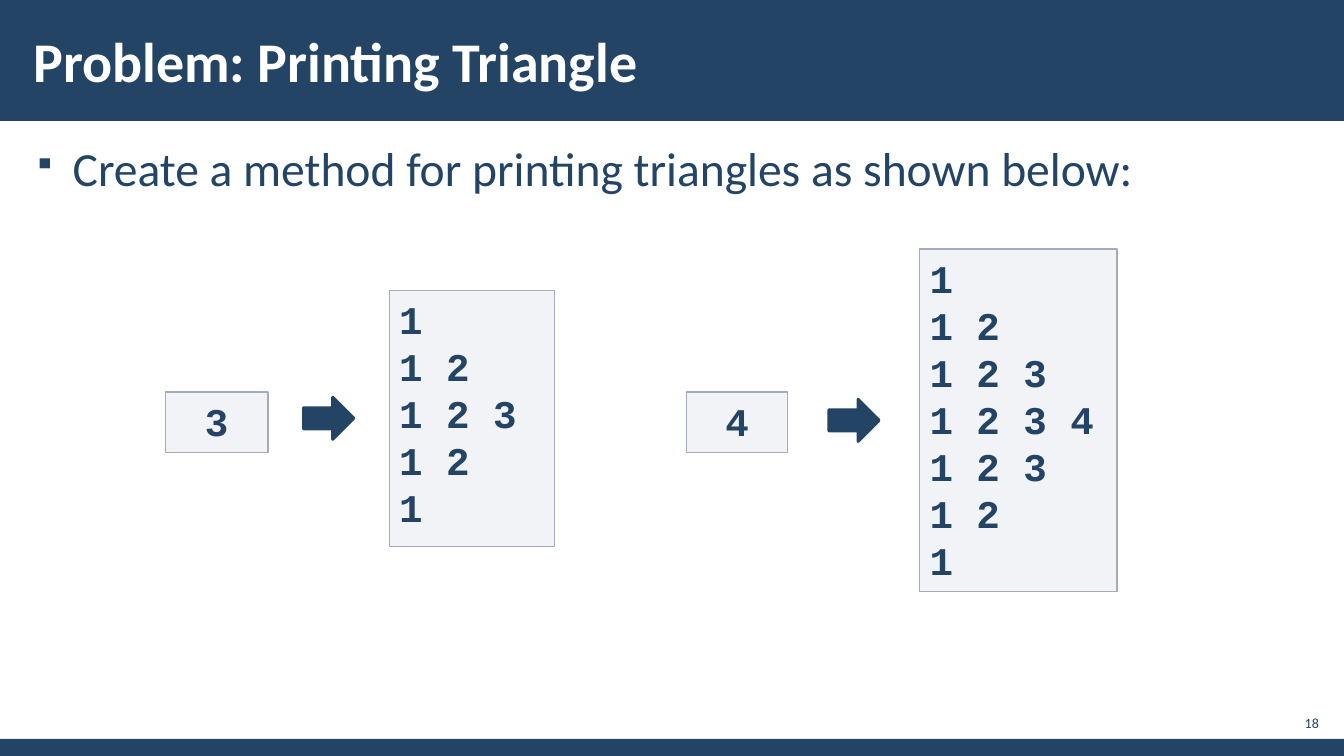
from dataclasses import dataclass

from lxml.etree import SubElement
from pptx import Presentation
from pptx.dml.color import RGBColor
from pptx.enum.shapes import MSO_SHAPE as Preset
from pptx.enum.text import MSO_ANCHOR as Anchor, PP_ALIGN as Align
from pptx.oxml.ns import qn
from pptx.shapes.autoshape import Shape
from pptx.slide import Slide
from pptx.text.text import TextFrame, _Paragraph as Paragraph
from pptx.util import Emu, Inches, Pt

SLIDE_WIDTH = Inches(13.33)
SLIDE_HEIGHT = Inches(7.5)
NAVY = RGBColor(0x23, 0x44, 0x65)
WHITE = RGBColor(0xFF, 0xFF, 0xFF)
BOX_FILL = RGBColor(0xC2, 0xC7, 0xD2)
BOX_LINE = RGBColor(0xA3, 0xAB, 0xBC)
BOX_OPACITY = 20
BULLET_SIZE = 65
TEXT_FONT = "Calibri"
CODE_FONT = "Courier New"


@dataclass(frozen=True)
class Area:
    """Left, top, width and height in percent of the slide."""

    left: float
    top: float
    width: float
    height: float

    def lengths(self) -> tuple[Emu, Emu, Emu, Emu]:
        return (
            Emu(int(SLIDE_WIDTH * self.left / 100)),
            Emu(int(SLIDE_HEIGHT * self.top / 100)),
            Emu(int(SLIDE_WIDTH * self.width / 100)),
            Emu(int(SLIDE_HEIGHT * self.height / 100)),
        )


@dataclass(frozen=True)
class TextStyle:
    font: str
    size: int
    color: RGBColor
    bold: bool = False


@dataclass(frozen=True)
class Example:
    size: int
    input_area: Area
    arrow_area: Area
    output_area: Area


TITLE = TextStyle(TEXT_FONT, 40, WHITE, True)
BODY = TextStyle(TEXT_FONT, 34, NAVY)
NUMBER = TextStyle(TEXT_FONT, 10, NAVY)
CODE = TextStyle(CODE_FONT, 28, NAVY, True)

BARS = (Area(0, 0, 100, 16), Area(0, 97.73, 100, 2.27))
EXAMPLES = (
    Example(3, Area(12.3, 51.87, 7.65, 8), Area(22.58, 52.53, 3.75, 5.6),
            Area(28.96, 38.4, 12.3, 33.87)),
    Example(4, Area(51.09, 51.87, 7.5, 8), Area(61.67, 52.8, 3.75, 5.6),
            Area(68.42, 32.93, 14.7, 45.33)),
)


def triangle_rows(size: int) -> list[str]:
    lengths = [*range(1, size + 1), *range(size - 1, 0, -1)]
    return [" ".join(str(n) for n in range(1, length + 1)) for length in lengths]


def add_run(paragraph: Paragraph, text: str, style: TextStyle) -> None:
    run = paragraph.add_run()
    run.text = text
    run.font.name = style.font
    run.font.size = Pt(style.size)
    run.font.bold = style.bold
    run.font.color.rgb = style.color


def write_lines(frame: TextFrame, lines: list[str], style: TextStyle, align: Align) -> None:
    for index, line in enumerate(lines):
        paragraph = frame.add_paragraph() if index else frame.paragraphs[0]
        paragraph.alignment = align
        add_run(paragraph, line, style)


def add_filled(slide: Slide, preset: Preset, area: Area, color: RGBColor) -> Shape:
    shape = slide.shapes.add_shape(preset, *area.lengths())
    shape.shadow.inherit = False
    shape.fill.solid()
    shape.fill.fore_color.rgb = color
    shape.line.fill.background()
    return shape


def set_line(shape: Shape, color: RGBColor, width: float) -> None:
    shape.line.color.rgb = color
    shape.line.width = Pt(width)


def add_code_box(slide: Slide, area: Area, lines: list[str], align: Align) -> None:
    box = add_filled(slide, Preset.RECTANGLE, area, BOX_FILL)
    color = box.fill._xPr.find(qn("a:solidFill"))[0]
    SubElement(color, qn("a:alpha")).set("val", str(BOX_OPACITY * 1000))
    set_line(box, BOX_LINE, 1)
    box.text_frame.vertical_anchor = Anchor.TOP
    write_lines(box.text_frame, lines, CODE, align)


def add_text(slide: Slide, area: Area, text: str, style: TextStyle, anchor: Anchor,
             side_margin: float, align: Align = Align.LEFT) -> Paragraph:
    frame = slide.shapes.add_textbox(*area.lengths()).text_frame
    frame.word_wrap = True
    frame.vertical_anchor = anchor
    frame.margin_left = frame.margin_right = Inches(side_margin)
    frame.margin_top = frame.margin_bottom = Inches(0.04)
    write_lines(frame, [text], style, align)
    return frame.paragraphs[0]


def add_bullet(paragraph: Paragraph) -> None:
    paragraph.line_spacing = 1.05
    paragraph.space_before = paragraph.space_after = Pt(6)
    properties = paragraph._p.get_or_add_pPr()
    properties.set("marL", str(Inches(0.39)))
    properties.set("indent", str(-Inches(0.39)))
    SubElement(properties, qn("a:buSzPct")).set("val", str(BULLET_SIZE * 1000))
    SubElement(properties, qn("a:buChar")).set("char", "▪")


def add_example(slide: Slide, example: Example) -> None:
    add_code_box(slide, example.input_area, [str(example.size)], Align.CENTER)
    arrow = add_filled(slide, Preset.RIGHT_ARROW, example.arrow_area, NAVY)
    set_line(arrow, NAVY, 2)
    add_code_box(slide, example.output_area, triangle_rows(example.size), Align.LEFT)


def main() -> None:
    presentation = Presentation()
    presentation.slide_width = SLIDE_WIDTH
    presentation.slide_height = SLIDE_HEIGHT
    slide = presentation.slides.add_slide(presentation.slide_layouts[6])
    for bar in BARS:
        add_filled(slide, Preset.RECTANGLE, bar, NAVY)
    add_text(slide, Area(1.58, 1.47, 77.94, 12.93), "Problem: Printing Triangle",
             TITLE, Anchor.MIDDLE, 0.12)
    task = add_text(slide, Area(1.58, 17.47, 96.92, 75.87),
                    "Create a method for printing triangles as shown below:",
                    BODY, Anchor.TOP, 0.12)
    add_bullet(task)
    add_text(slide, Area(94.9, 93.33, 3.53, 4.53), "18", NUMBER,
             Anchor.MIDDLE, 0.04, Align.RIGHT)
    for example in EXAMPLES:
        add_example(slide, example)
    presentation.save("out.pptx")


if __name__ == "__main__":
    main()
